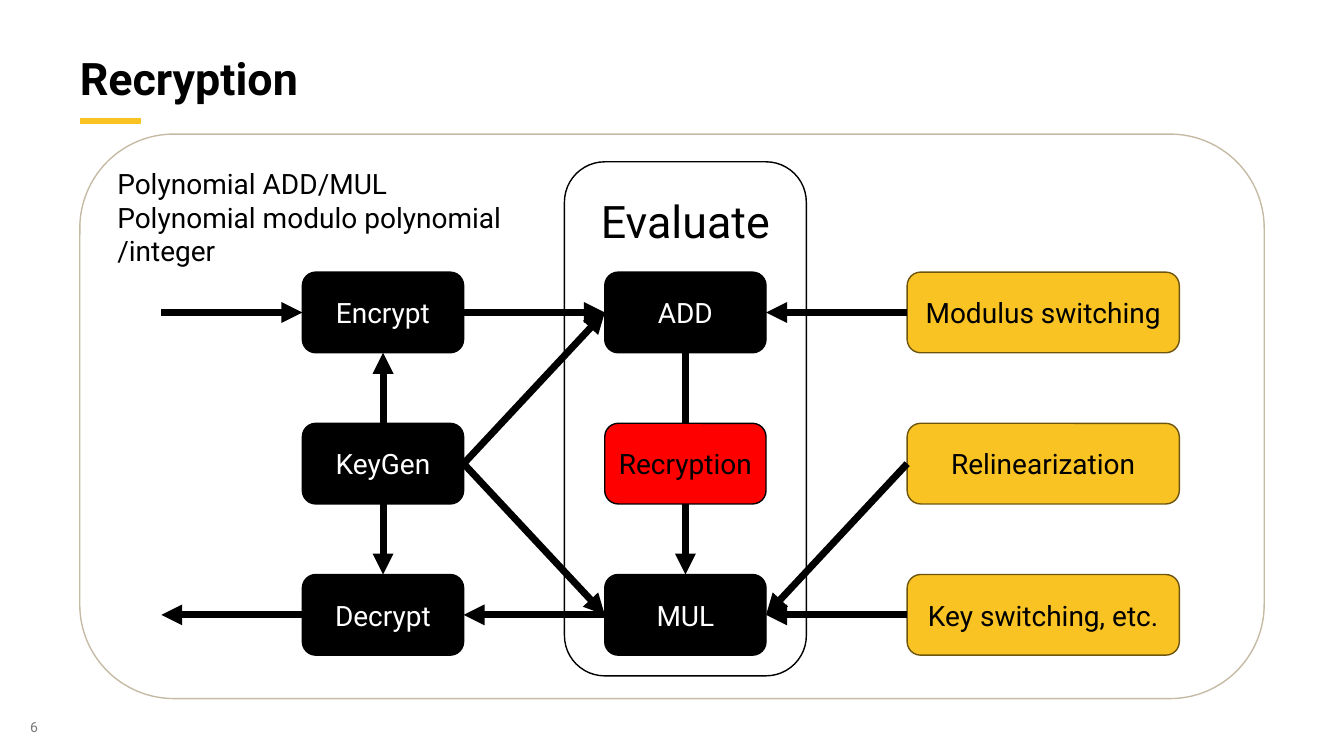
from lxml.etree import SubElement
from pptx import Presentation
from pptx.dml.color import RGBColor
from pptx.enum.shapes import MSO_CONNECTOR, MSO_SHAPE
from pptx.enum.text import MSO_ANCHOR, PP_ALIGN
from pptx.oxml.ns import qn
from pptx.util import Pt

TITLE = "Recryption"
PAGE_NUMBER = "6"
NOTES = ["Polynomial ADD/MUL", "Polynomial modulo polynomial", "/integer"]
STAGE = "Evaluate"

STEPS = [
    ("Encrypt", 0, 0, "step"),
    ("KeyGen", 0, 1, "step"),
    ("Decrypt", 0, 2, "step"),
    ("ADD", 1, 0, "step"),
    ("MUL", 1, 2, "step"),
    ("Modulus switching", 2, 0, "helper"),
    ("Relinearization", 2, 1, "helper"),
    ("Key switching, etc.", 2, 2, "helper"),
]
RECRYPTION = ("Recryption", 1, 1, "focus")

ARROWS = [
    ("KeyGen", "top", "Encrypt", "bottom"),
    ("KeyGen", "bottom", "Decrypt", "top"),
    ("KeyGen", "right", "ADD", "left"),
    ("KeyGen", "right", "MUL", "left"),
    ("Encrypt", "right", "ADD", "left"),
    ("MUL", "left", "Decrypt", "right"),
    ("ADD", "bottom", "MUL", "top"),
    ("Modulus switching", "left", "ADD", "right"),
    ("Relinearization", "left", "MUL", "right"),
    ("Key switching, etc.", "left", "MUL", "right"),
]

THEME = {
    "font": "Roboto",
    "title_size": 32, "body_size": 20, "number_size": 10,
    "ink": "000000", "grey": "787878", "accent": "F9C423",
    "panel": ("FFFFFF", "C5BBA4", "000000"),
    "stage": ("FFFFFF", "000000", "000000"),
    "step": ("000000", "000000", "FFFFFF"),
    "helper": ("F8C323", "6D550F", "000000"),
    "focus": ("FF0000", "000000", "000000"),
    "outline": 1, "accent_line": 4, "arrow_line": 5,
}

MARGIN, CONTENT_WIDTH = 57, 846
GRID_LEFT, GRID_TOP = 216, 194.4
COLUMN_STEP, ROW_STEP = 216, 108
BOX_WIDTHS, BOX_HEIGHT = (115.2, 115.2, 194.4), 57.6
OUTSIDE = 115.2
SITES = {"top": 0, "left": 1, "bottom": 2, "right": 3}


def colour(name):
    return RGBColor.from_string(name)


def write(frame, lines, size, ink, align=PP_ALIGN.LEFT, anchor=MSO_ANCHOR.TOP,
          bold=False, insets=(7.2, 3.6, 7.2, 3.6), wrap=True):
    frame.word_wrap = wrap
    frame.vertical_anchor = anchor
    (frame.margin_left, frame.margin_top,
     frame.margin_right, frame.margin_bottom) = map(Pt, insets)
    for index, line in enumerate(lines):
        para = frame.add_paragraph() if index else frame.paragraphs[0]
        para.alignment = align
        span = para.add_run()
        span.text = line
        span.font.name = THEME["font"]
        span.font.size = Pt(size)
        span.font.bold = bold
        span.font.color.rgb = colour(ink)


def add_label(page, place, text, size, ink, **options):
    box = page.shapes.add_textbox(*map(Pt, place))
    write(box.text_frame, [text], size, ink, insets=(0, 0, 0, 0), **options)


def add_box(page, place, style, lines, size, **options):
    fill, outline, ink = THEME[style]
    box = page.shapes.add_shape(MSO_SHAPE.ROUNDED_RECTANGLE, *map(Pt, place))
    box.shadow.inherit = False
    box.fill.solid()
    box.fill.fore_color.rgb = colour(fill)
    box.line.color.rgb = colour(outline)
    box.line.width = Pt(THEME["outline"])
    write(box.text_frame, lines, size, ink, **options)
    return box


def add_step(page, name, column, row, style):
    place = (GRID_LEFT + column * COLUMN_STEP, GRID_TOP + row * ROW_STEP,
             BOX_WIDTHS[column], BOX_HEIGHT)
    return add_box(page, place, style, [name], THEME["body_size"],
                   align=PP_ALIGN.CENTER, anchor=MSO_ANCHOR.MIDDLE,
                   wrap=style != "focus")


def add_line(page, ends, ink, width, arrow=False):
    line = page.shapes.add_connector(MSO_CONNECTOR.STRAIGHT, *map(Pt, ends))
    line.line.color.rgb = colour(ink)
    line.line.width = Pt(width)
    if arrow:
        SubElement(line.line._get_or_add_ln(), qn("a:tailEnd"), type="triangle")
    SubElement(line._element.spPr, qn("a:effectLst"))
    return line


def add_arrow(page, ends=(0, 0, 0, 0)):
    return add_line(page, ends, THEME["ink"], THEME["arrow_line"], arrow=True)


def main():
    deck = Presentation()
    deck.slide_width, deck.slide_height = Pt(960), Pt(540)
    page = deck.slides.add_slide(deck.slide_layouts[6])

    add_label(page, (21.6, 513.4, 72, 12.2), PAGE_NUMBER,
              THEME["number_size"], THEME["grey"])
    add_line(page, (MARGIN, 86.4, MARGIN + 44, 86.4),
             THEME["accent"], THEME["accent_line"])
    add_box(page, (MARGIN, 95.8, CONTENT_WIDTH, 403.2), "panel", NOTES,
            THEME["body_size"])
    add_label(page, (MARGIN, 14.4, CONTENT_WIDTH, 60.5), TITLE,
              THEME["title_size"], THEME["ink"],
              anchor=MSO_ANCHOR.BOTTOM, bold=True)
    add_box(page, (403.2, 115.6, 172.8, 367.2), "stage", [STAGE],
            THEME["title_size"], align=PP_ALIGN.CENTER,
            insets=(7.2, 14.4, 7.2, 3.6))

    boxes = {step[0]: add_step(page, *step) for step in STEPS}
    for source, source_side, target, target_side in ARROWS:
        arrow = add_arrow(page)
        arrow.begin_connect(boxes[source], SITES[source_side])
        arrow.end_connect(boxes[target], SITES[target_side])

    first_row = GRID_TOP + BOX_HEIGHT / 2
    last_row = first_row + 2 * ROW_STEP
    add_arrow(page, (OUTSIDE, first_row, GRID_LEFT, first_row))
    add_arrow(page, (GRID_LEFT, last_row, OUTSIDE, last_row))
    add_step(page, *RECRYPTION)

    deck.save("out.pptx")


if __name__ == "__main__":
    main()
